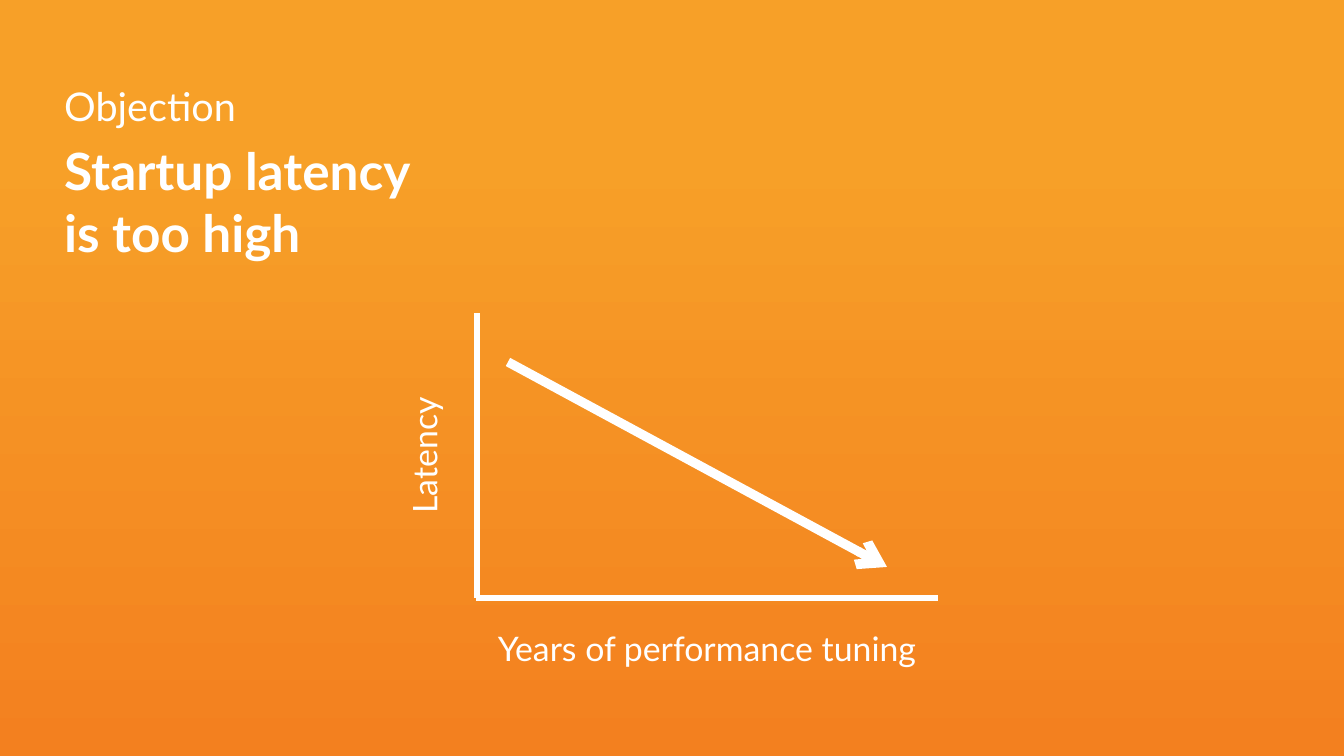
from lxml import etree
from pptx import Presentation
from pptx.dml.color import RGBColor
from pptx.enum.shapes import MSO_CONNECTOR
from pptx.enum.text import MSO_ANCHOR, PP_ALIGN
from pptx.oxml.ns import qn
from pptx.util import Emu, Pt

STRAIGHT = MSO_CONNECTOR.STRAIGHT
TOP = MSO_ANCHOR.TOP
LEFT, CENTER = PP_ALIGN.LEFT, PP_ALIGN.CENTER

PX_PER_INCH = 134.4
EMU_PER_PX = 914400 / PX_PER_INCH
WIDTH, HEIGHT = 1344, 756
COLORS = {"text": "FFFFFF", "sky": "F7A028", "base": "F3801F"}


def px(length):
    return Emu(round(length * EMU_PER_PX))


def color(name):
    return RGBColor.from_string(COLORS[name])


class SlideBuilder:
    font_name = "Lato"

    def __init__(self, presentation):
        self.slide = presentation.slides.add_slide(presentation.slide_layouts[6])

    def background(self, stops):
        """Fill the slide from top to bottom with two (position, color) stops."""
        fill = self.slide.background.fill
        fill.gradient()
        fill.gradient_angle = 270
        for stop, (position, name) in zip(fill.gradient_stops, stops):
            stop.position = position
            stop.color.rgb = color(name)

    def text(self, words, left, top, width, height, size,
             bold=False, align=LEFT, rotation=0):
        shape = self.slide.shapes.add_textbox(px(left), px(top), px(width), px(height))
        shape.rotation = rotation
        frame = shape.text_frame
        frame.word_wrap = True
        frame.vertical_anchor = TOP
        paragraph = frame.paragraphs[0]
        paragraph.text = words
        paragraph.alignment = align
        font_format = {"name": self.font_name, "size": Pt(size), "bold": bold}
        for run in paragraph.runs:
            for attribute, value in font_format.items():
                setattr(run.font, attribute, value)
            run.font.color.rgb = color("text")

    def line(self, start, end, weight, arrow=False):
        connector = self.slide.shapes.add_connector(
            STRAIGHT, *(px(length) for length in (*start, *end)))
        connector.line.width = Pt(weight)
        connector.line.color.rgb = color("text")
        if arrow:
            outline = connector.line._get_or_add_ln()
            etree.SubElement(outline, qn("a:tailEnd"), type="arrow")
        etree.SubElement(connector._element.spPr, qn("a:effectLst"))


def main():
    presentation = Presentation()
    presentation.slide_width, presentation.slide_height = px(WIDTH), px(HEIGHT)
    builder = SlideBuilder(presentation)
    builder.background([(0.2, "sky"), (1, "base")])

    title_left, title_width = 51, 621
    builder.text("Objection", title_left, 75, title_width, 69, 21.2)
    builder.text("Startup latency\nis too high", title_left, 133, title_width, 91,
                 27.5, bold=True)

    axis_left, axis_right, axis_top, axis_bottom = 476, 938, 313, 598
    label_size = 18.1
    builder.line((axis_left, axis_bottom), (axis_right, axis_bottom), 3)
    builder.line((axis_left + 1, axis_bottom), (axis_left + 1, axis_top), 3)
    builder.text("Latency", 337, 422, 187, 67, label_size, align=CENTER, rotation=270)
    builder.text("Years of performance tuning", axis_left, 621,
                 axis_right - axis_left, 47, label_size, align=CENTER)
    builder.line((508, 362), (887, 567), 5, arrow=True)

    presentation.save("out.pptx")


if __name__ == "__main__":
    main()
